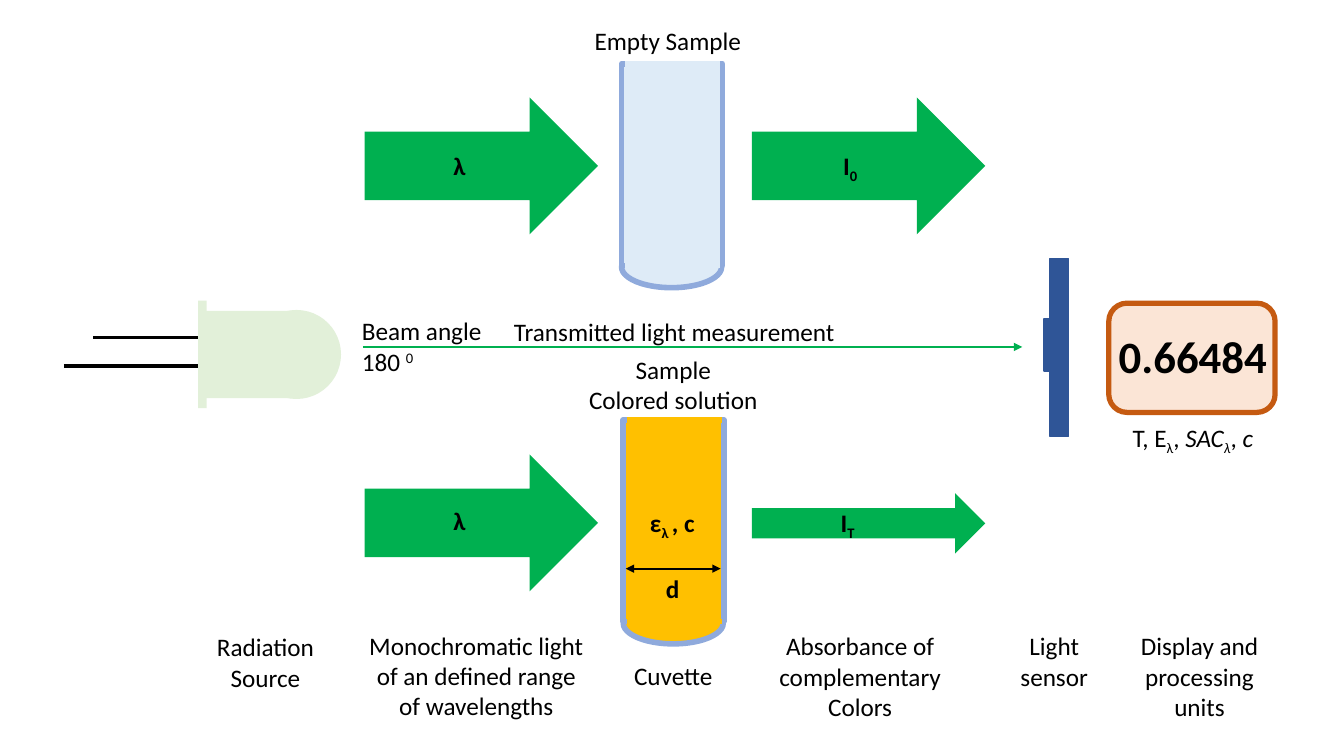
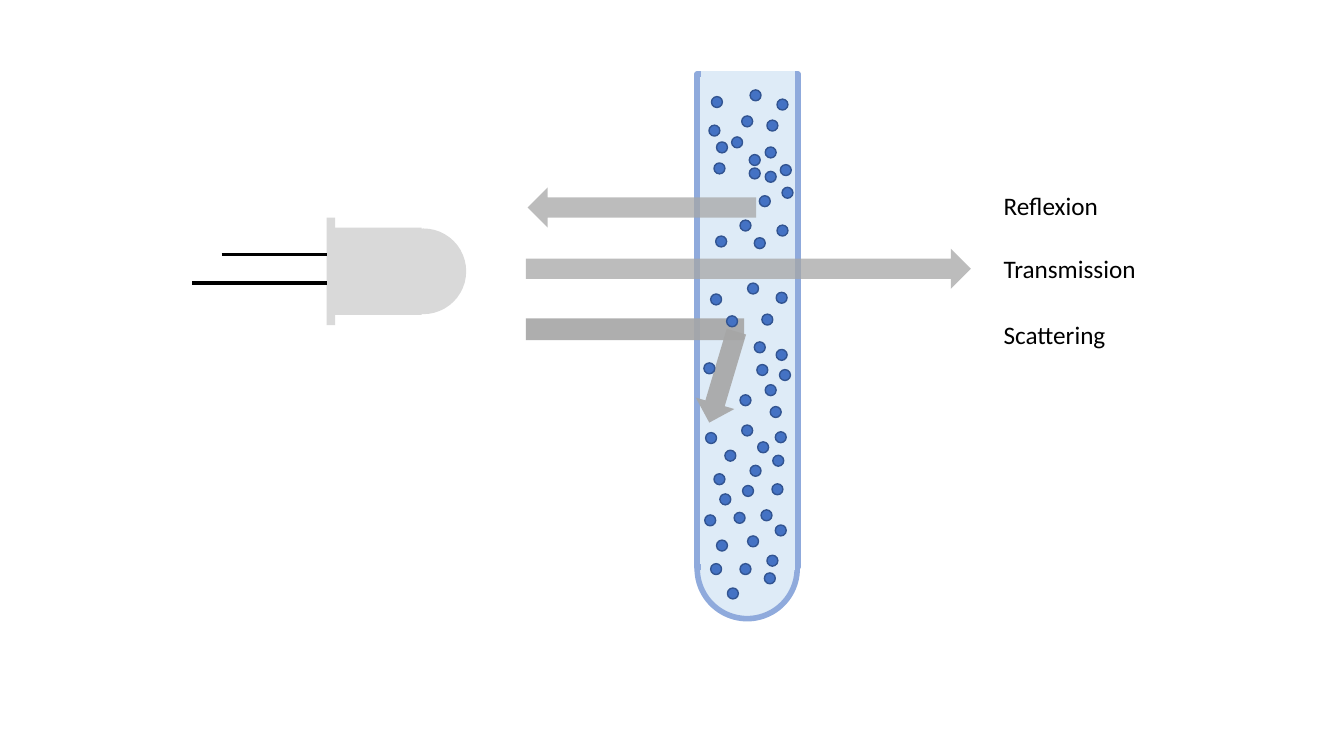
from dataclasses import dataclass
from typing import NamedTuple

from lxml import etree
from pptx import Presentation
from pptx.dml.color import RGBColor
from pptx.enum.shapes import MSO_CONNECTOR, MSO_SHAPE
from pptx.enum.text import MSO_AUTO_SIZE, PP_ALIGN
from pptx.oxml.ns import qn
from pptx.shapes.autoshape import Shape
from pptx.shapes.shapetree import GroupShapes, SlideShapes
from pptx.util import Emu, Inches, Pt

RECT, ROUND = MSO_SHAPE.RECTANGLE, MSO_SHAPE.ROUNDED_RECTANGLE
ARROW, DISC = MSO_SHAPE.RIGHT_ARROW, MSO_SHAPE.FLOWCHART_CONNECTOR
STRAIGHT = MSO_CONNECTOR.STRAIGHT
LEFT, MID = PP_ALIGN.LEFT, PP_ALIGN.CENTER
GROW = MSO_AUTO_SIZE.SHAPE_TO_FIT_TEXT

WIDE, HIGH = Inches(13.333), Inches(7.5)
COLS, ROWS = 160, 90

Tree = SlideShapes | GroupShapes


@dataclass(frozen=True)
class Theme:
    """Colours, font and type sizes of the deck."""
    font: str = "Calibri"
    body: int = 18
    big: int = 32
    ink: str = "000000"
    beam: str = "00B050"
    ray: str = "A6A6A6"
    glass: str = "8FAADC"
    clear: str = "DEEBF7"
    amber: str = "FFC000"
    lamp: str = "E2F0D9"
    gray: str = "D9D9D9"
    cell: str = "2F5597"
    face: str = "FBE5D6"
    rim: str = "C55A11"
    dot: str = "4472C4"
    edge: str = "325491"


THEME = Theme()


class Box(NamedTuple):
    """Place and size in grid columns and rows."""
    x: float
    y: float
    w: float
    h: float


class Bit(NamedTuple):
    """A run of text, raised or lowered by a percentage."""
    text: str
    base: int = 0
    slant: bool = False


Line = str | tuple[Bit, ...]


@dataclass(frozen=True)
class Label:
    """A text box; rows counts its lines as shown."""
    x: float
    y: float
    w: float
    lines: tuple[Line, ...]
    rows: int = 1
    align: PP_ALIGN = LEFT
    bold: bool = False
    size: int = THEME.body
    wrap: bool = True


@dataclass(frozen=True)
class Tube:
    """A cuvette with a round foot."""
    x: float
    y: float
    h: float
    foot: float
    fill: str


@dataclass(frozen=True)
class Lamp:
    """A light source, placed by the top left of its flange."""
    x: float
    y: float
    dome: float
    fill: str


def col(n: float) -> Emu:
    """Turn grid columns into a length."""
    return Emu(round(WIDE * n / COLS))


def row(n: float) -> Emu:
    """Turn grid rows into a length."""
    return Emu(round(HIGH * n / ROWS))


def tint(name: str) -> RGBColor:
    """Make a colour from its hex name."""
    return RGBColor.from_string(name)


def draw(tree: Tree, kind: MSO_SHAPE, box: Box, fill: str,
         edge: str = "", width: float = 1, turn: float = 0,
         alpha: int = 100) -> Shape:
    """Draw a filled preset shape."""
    shape = tree.add_shape(kind, col(box.x), row(box.y), col(box.w), row(box.h))
    shape.shadow.inherit = False
    shape.rotation = turn
    shape.fill.solid()
    shape.fill.fore_color.rgb = tint(fill)
    if alpha < 100:
        paint = shape._element.spPr.find(f".//{qn('a:srgbClr')}")
        etree.SubElement(paint, qn("a:alpha"), val=str(alpha * 1000))
    if edge:
        shape.line.color.rgb = tint(edge)
        shape.line.width = Pt(width)
    else:
        shape.line.fill.background()
    return shape


def rule(tree: Tree, x: float, end: float, y: float, color: str,
         width: float, tips: tuple[str, ...] = ()) -> None:
    """Draw a level line, with arrowheads at the named ends."""
    line = tree.add_connector(STRAIGHT, col(x), row(y), col(end), row(y))
    line.line.color.rgb = tint(color)
    line.line.width = Pt(width)
    for tip in tips:
        etree.SubElement(line.line._ln, qn(f"a:{tip}"), type="triangle")
    etree.SubElement(line._element.spPr, qn("a:effectLst"))


def write(tree: Tree, label: Label) -> None:
    """Write a label."""
    high = 1.2 + 3.65 * label.rows * label.size / THEME.body
    box = tree.add_textbox(col(label.x), row(label.y), col(label.w), row(high))
    frame = box.text_frame
    frame.word_wrap = label.wrap
    frame.auto_size = GROW
    for i, line in enumerate(label.lines):
        para = frame.add_paragraph() if i else frame.paragraphs[0]
        para.alignment = label.align
        font = para.font
        font.name, font.size, font.bold = THEME.font, Pt(label.size), label.bold
        font.color.rgb = tint(THEME.ink)
        if isinstance(line, str):
            para.text = line
            continue
        for bit in line:
            run = para.add_run()
            run.text = bit.text
            if bit.slant:
                run.font.italic = True
            if bit.base:
                run.font._rPr.set("baseline", str(bit.base * 1000))


def vessel(tree: Tree, tube: Tube) -> Tree:
    """Draw a cuvette and return its group."""
    group = tree.add_group_shape().shapes
    end = tube.y + tube.h
    foot = Box(tube.x, end - tube.foot / 2 + 0.2, 11.9, tube.foot)
    draw(group, DISC, foot, tube.fill, THEME.glass, 4)
    draw(group, RECT, Box(tube.x, tube.y, 12, tube.h), tube.fill, THEME.glass, 4)
    for y in (end, tube.y):
        rule(group, tube.x + 0.4, tube.x + 11.7, y, tube.fill, 4)
    return group


def light(tree: Tree, lamp: Lamp) -> None:
    """Draw a light source with two wires."""
    group = tree.add_group_shape().shapes
    x, y, high = lamp.x, lamp.y, 12.8
    top = y + (high - lamp.dome) / 2
    draw(group, DISC, Box(x + 6.4, top, lamp.dome, lamp.dome), lamp.fill)
    draw(group, RECT, Box(x + 0.7, y + 1.2, 10.6, 10.4), lamp.fill)
    draw(group, RECT, Box(x, y, 1, high), lamp.fill)
    for reach, drop in ((12.5, 4.4), (16, 7.8)):
        rule(group, x - reach, x, y + drop, THEME.ink, 2.5)


LAM = Bit("λ", -25)
SETUP = (
    Label(69.6, 2.4, 22.7, ("Empty Sample",)),
    Label(91, 74.5, 22.8, ("Absorbance of\vcomplementary", "Colors"), 3, MID),
    Label(99.2, 17.3, 4.3, ((Bit("I"), Bit("0", -25)),), bold=True),
    Label(98.9, 59.8, 5, ((Bit("I"), Bit("T", -25)),), bold=True),
    Label(42.1, 74.4, 29.2,
          ("Monochromatic light of an defined range of wavelengths",), 3, MID),
    Label(78.1, 67.6, 4.1, ("d",), bold=True),
    Label(76.2, 59.8, 8.6, ((Bit("ε"), Bit("λ ", -25), Bit(", c ")),), bold=True),
    Label(118.4, 74.5, 14.2, ("Light\vsensor",), 2, MID),
    Label(24.5, 74.6, 14.2, ("Radiation", "Source"), 2, MID),
    Label(74.3, 78, 13.6, ("Cuvette",)),
    Label(133.6, 74.5, 18.4, ("Display and processing\vunits",), 3, MID),
    Label(132, 38.6, 22.1, ("0.66484",), bold=True, size=THEME.big),
    Label(68.8, 41.6, 22.7, ("Sample", "Colored solution"), 2, MID),
    Label(52.8, 17.3, 3.8, ("λ",), bold=True, wrap=False),
    Label(52.8, 59.6, 3.8, ("λ",), bold=True, wrap=False),
    Label(132.8, 49.7, 18.4, ((Bit("T, E"), LAM, Bit(", "), Bit("SAC", 0, True),
                               Bit("λ", -25, True), Bit(", "),
                               Bit("c", 0, True)),), align=MID),
    Label(41.9, 37, 16.8, ("Beam angle", (Bit("180 "), Bit("0", 30))), 2, wrap=False),
    Label(60, 37.1, 42.7, ("Transmitted light measurement",), wrap=False),
)
PATHS = (
    Label(118.3, 29.6, 18.2, ("Transmission",), wrap=False),
    Label(118.3, 22.1, 13.8, ("Reflexion",), wrap=False),
    Label(118.3, 37.4, 14.8, ("Scattering",), wrap=False),
)
BEAMS = (Box(43.4, 54.1, 27.8, 16.3), Box(89.5, 58.7, 27.8, 7.2),
         Box(43.4, 11.6, 27.8, 16.3), Box(89.5, 11.6, 27.8, 16.3))
DOTS = (
    (89.3, 10.7), (84.7, 11.5), (92.5, 11.8), (88.3, 13.8), (91.3, 14.3),
    (84.4, 14.9), (87.1, 16.3), (85.3, 16.9), (91.1, 17.5), (89.2, 18.4),
    (85, 19.4), (92.9, 19.6), (89.2, 20), (91.1, 20.4), (93.1, 22.3),
    (90.4, 23.3), (88.1, 26.2), (92.5, 26.8), (85.2, 28.1), (89.8, 28.3),
    (89, 33.7), (92.4, 34.8), (84.6, 35), (90.7, 37.4), (86.5, 37.6),
    (89.8, 40.7), (92.4, 41.6), (83.8, 43.2), (90.1, 43.4), (92.8, 44),
    (91.1, 45.8), (88.1, 47), (91.7, 48.4), (88.3, 50.6), (92.3, 51.4),
    (84, 51.5), (90.2, 52.6), (86.3, 53.6), (92, 54.2), (89.3, 55.4),
    (85, 56.4), (91.9, 57.6), (88.4, 57.8), (85.7, 58.8), (90.6, 60.7),
    (87.4, 61), (83.9, 61.3), (92.3, 62.5), (89, 63.8), (85.3, 64.3),
    (91.3, 66.1), (88.1, 67.1), (84.6, 67.1), (91, 68.2), (86.6, 70),
)


def setup(tree: Tree) -> None:
    """Build the measuring setup."""
    for box in BEAMS:
        draw(tree, ARROW, box, THEME.beam)
    light(tree, Lamp(23.6, 35.8, 10.6, THEME.lamp))
    full = vessel(tree, Tube(74.2, 50, 24, 4.9, THEME.amber))
    rule(full, 74.5, 85.8, 67.7, THEME.ink, 1.5, ("headEnd", "tailEnd"))
    cell = tree.add_group_shape().shapes
    for box in (Box(125, 30.8, 2.2, 21.2), Box(124.3, 38, 1, 6.2)):
        draw(cell, RECT, box, THEME.cell, THEME.cell)
    draw(tree, ROUND, Box(132, 36.1, 19.8, 13), THEME.face, THEME.rim, 3.75)
    vessel(tree, Tube(74, 7.6, 24, 4.9, THEME.clear))
    rule(tree, 43.2, 121.7, 41.3, THEME.beam, 1.75, ("tailEnd",))
    for label in SETUP:
        write(tree, label)


def paths(tree: Tree) -> None:
    """Build the three ways light takes in a sample."""
    vessel(tree, Tube(83, 8.8, 58.7, 11.9, THEME.clear))
    for label in PATHS:
        write(tree, label)
    draw(tree, ARROW, Box(62.6, 29.6, 53, 4.8), THEME.ray, alpha=75)
    draw(tree, ARROW, Box(62.8, 22.3, 27.2, 4.8), THEME.ray, turn=180, alpha=75)
    bend = tree.add_group_shape().shapes
    draw(bend, RECT, Box(62.6, 37.9, 26, 2.6), THEME.ray, alpha=90)
    draw(bend, ARROW, Box(80.4, 42.5, 11.3, 4.8), THEME.ray, turn=106.6, alpha=90)
    light(tree, Lamp(38.9, 25.9, 10.2, THEME.gray))
    for x, y in DOTS:
        draw(tree, DISC, Box(x, y, 1.3, 1.3), THEME.dot, THEME.edge)


def main() -> None:
    """Make the deck and save it."""
    deck = Presentation()
    deck.slide_width, deck.slide_height = WIDE, HIGH
    blank = deck.slide_layouts[6]
    for build in (setup, paths):
        build(deck.slides.add_slide(blank).shapes)
    deck.save("out.pptx")


main()
